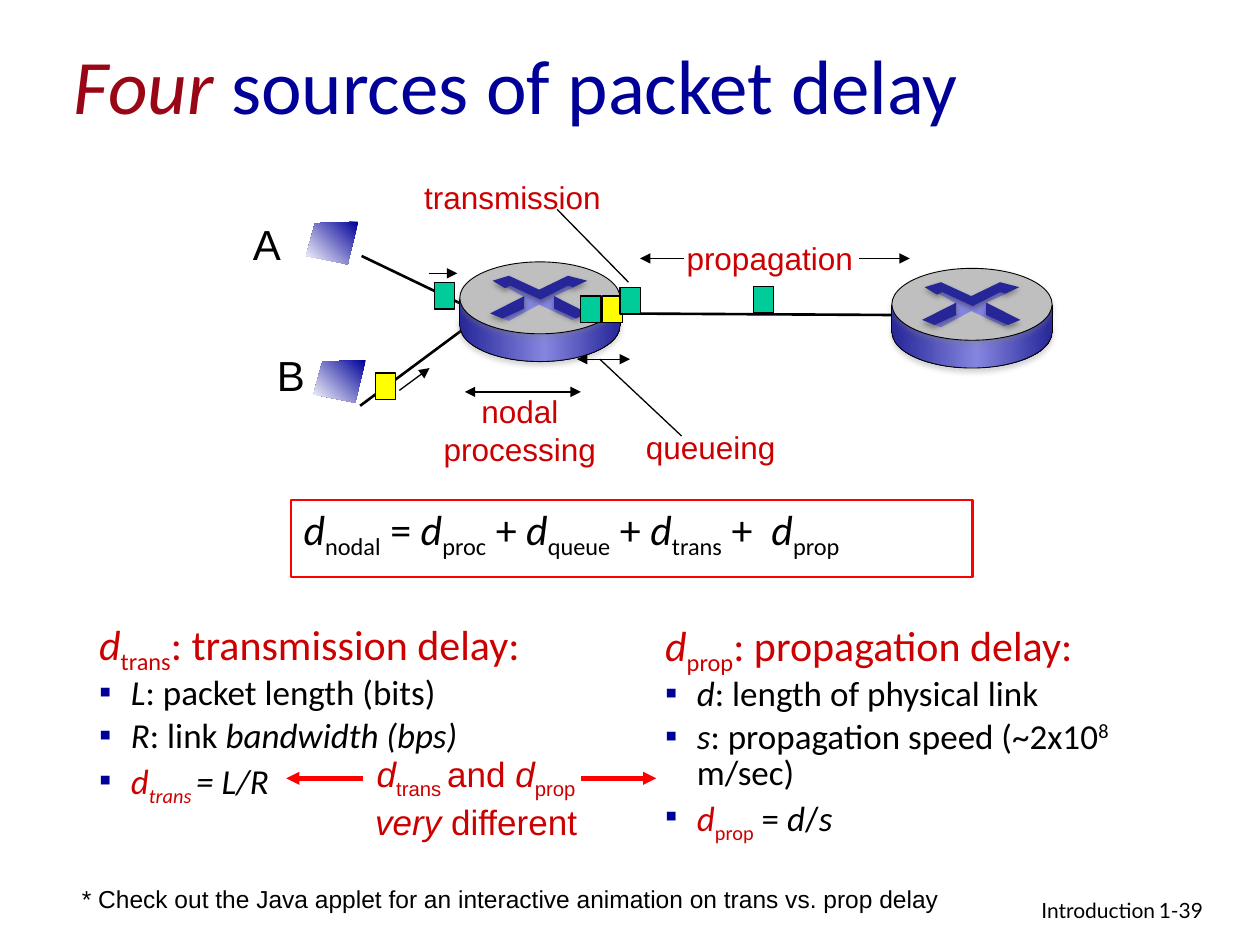
from copy import deepcopy

from lxml.etree import SubElement
from pptx import Presentation
from pptx.dml.color import RGBColor
from pptx.enum.shapes import MSO_CONNECTOR, MSO_SHAPE
from pptx.enum.text import MSO_ANCHOR, PP_ALIGN
from pptx.oxml.ns import qn
from pptx.util import Cm, Pt

RED, NAVY, BLACK = "CC0000", "000099", "000000"
GREEN, YELLOW = "00CC99", "FFFF00"
ROUTER_DARK, ROUTER_LIGHT = "262699", "8585E0"
LEFT, CENTER, RIGHT = PP_ALIGN.LEFT, PP_ALIGN.CENTER, PP_ALIGN.RIGHT

CROSS = [(1.6, .86), (.99, 1.19), (.81, 1.12), (1.32, .91), (1.3, .71), (.94, .51), (1.07, .48),
         (1.6, .74), (2.16, .46), (2.31, .51), (1.9, .69), (1.98, .97), (2.39, 1.12), (2.26, 1.17)]
CHEVRON = [(.66, .38), (.99, .28), (1.6, .56), (2.18, .28), (2.57, .38), (2.29, .51),
           (2.18, .48), (1.63, .76), (1.02, .48), (.91, .53)]
RIGHT_ARM = [(1.9, .69), (2.59, 1.04), (2.34, 1.14), (1.9, .94)]
LEFT_ARM = [(3.2 - px, py) for px, py in RIGHT_ARM]
SCREEN = [(1.05, 0), (.18, .03), (0, .69), (.84, .86)]


def rgb(color):
    """Turn a hex string into a colour."""
    return RGBColor.from_string(color)


def add_runs(p, runs, size, color=BLACK, font="Calibri"):
    """Add (text, flags) runs: i italic, _ subscript, ^ superscript, r red, d dark red."""
    for text, flags in runs:
        r = p.add_run()
        r.text = text
        r.font.name, r.font.size = font, Pt(size)
        r.font.italic = "i" in flags
        tint = RED if "r" in flags else "990716" if "d" in flags else color
        r.font.color.rgb = rgb(tint)
        if "_" in flags or "^" in flags:
            r._r.get_or_add_rPr().set("baseline", "-25000" if "_" in flags else "30000")


def add_text(s, x, y, w, h, lines, size, color=BLACK, font="Arial", align=LEFT, wrap=True,
             anchor=MSO_ANCHOR.TOP):
    """Place a text box with one paragraph for each list of runs."""
    tf = s.shapes.add_textbox(Cm(x), Cm(y), Cm(w), Cm(h)).text_frame
    tf.word_wrap, tf.vertical_anchor = wrap, anchor
    for i, runs in enumerate(lines):
        p = tf.add_paragraph() if i else tf.paragraphs[0]
        p.alignment = align
        add_runs(p, runs, size, color, font)


def add_shadow(sp, color):
    """Give a shape or connector a soft shadow below it."""
    effects = sp._element.spPr.find(qn("a:effectLst"))
    shadow = SubElement(effects, qn("a:outerShdw"), blurRad=str(Pt(3.1)), dist=str(Pt(1.8)),
                        dir="5400000", rotWithShape="0")
    tint = SubElement(shadow, qn("a:srgbClr"), val=color)
    SubElement(tint, qn("a:alpha"), val="35000")


def style(sp, fill=None, line=None, width=.75, angle=0, shadow=None):
    """Set fill (one colour or a list of gradient stops), outline and shadow."""
    sp.shadow.inherit = False
    if isinstance(fill, list):
        sp.fill.gradient()
        sp.fill.gradient_angle = angle
        stops = sp._element.spPr.find(qn("a:gradFill")).find(qn("a:gsLst"))
        for _ in fill[2:]:
            stops.append(deepcopy(stops[-1]))
        for stop, (position, color) in zip(sp.fill.gradient_stops, fill):
            stop.position, stop.color.rgb = position, rgb(color)
    elif fill:
        sp.fill.solid()
        sp.fill.fore_color.rgb = rgb(fill)
    else:
        sp.fill.background()
    if line:
        sp.line.color.rgb, sp.line.width = rgb(line), Pt(width)
    else:
        sp.line.fill.background()
    if shadow:
        add_shadow(sp, shadow)


def add_shape(shapes, kind, x, y, w, h, **look):
    """Place a styled preset shape."""
    sp = shapes.add_shape(kind, Cm(x), Cm(y), Cm(w), Cm(h))
    style(sp, **look)
    return sp


def add_outline(shapes, x, y, points, **look):
    """Place a closed outline whose points are relative to x, y."""
    points = [(Cm(x + px), Cm(y + py)) for px, py in points]
    builder = shapes.build_freeform(*points[0])
    builder.add_line_segments(points[1:], close=True)
    style(builder.convert_to_shape(), **look)


def add_line(shapes, x1, y1, x2, y2, width=.75, color=BLACK, ends=()):
    """Draw a straight line with arrowheads at the named ends."""
    c = shapes.add_connector(MSO_CONNECTOR.STRAIGHT, Cm(x1), Cm(y1), Cm(x2), Cm(y2))
    c.line.color.rgb, c.line.width = rgb(color), Pt(width)
    for end in ends:
        SubElement(c._element.spPr.find(qn("a:ln")), qn(f"a:{end}End"), type="triangle")
    SubElement(c._element.spPr, qn("a:effectLst"))
    return c


def add_router(s, x, y):
    """Draw a router as a group with its top left corner at x, y."""
    shapes = s.shapes.add_group_shape().shapes
    metal = [(0, ROUTER_DARK), (.53, ROUTER_LIGHT), (1, ROUTER_DARK)]
    rim = dict(line=BLACK, width=.5, shadow="808080")
    add_shape(shapes, MSO_SHAPE.OVAL, x, y + .56, 3.23, 1.45, fill=metal, **rim)
    add_shape(shapes, MSO_SHAPE.RECTANGLE, x, y + .76, 3.23, .53, fill=metal)
    add_shape(shapes, MSO_SHAPE.OVAL, x, y, 3.23, 1.45, fill="BFBFBF", **rim)
    add_outline(shapes, x, y, CROSS, fill=ROUTER_LIGHT)
    for points in (CHEVRON, RIGHT_ARM, LEFT_ARM):
        add_outline(shapes, x, y, points, fill=ROUTER_DARK, shadow=BLACK)
    for side in (x, x + 3.23):
        add_shadow(add_line(shapes, side, y + 1.3, side, y + .74, .5), "808080")


def add_network(s, x, y):
    """Draw hosts, routers, packets and delay labels."""
    for x1, y1, x2, y2 in [(3.29, 2.16, 5.35, 3.15), (3.26, 5.18, 5.32, 3.65),
                           (8.62, 3.32, 14.01, 3.35)]:
        add_line(s.shapes, x + x1, y + y1, x + x2, y + y2, 1.5)
    for dx, dy in [(5.27, 2.28), (13.98, 2.41)]:
        add_router(s, x + dx, y + dy)
    for dx, dy in [(2.17, 1.47), (2.32, 4.26)]:
        add_outline(s.shapes, x + dx, y + dy, SCREEN, fill=[(0, NAVY), (1, "FFFFFF")], angle=225)
    for dx, dy, color in [(11.19, 2.77, GREEN), (7.71, 2.97, GREEN), (8.14, 2.97, YELLOW),
                          (8.5, 2.79, GREEN), (4.76, 2.69, GREEN), (3.57, 4.52, YELLOW)]:
        add_shape(s.shapes, MSO_SHAPE.RECTANGLE, x + dx, y + dy, .41, .54, fill=color, line=BLACK)
    one, both = ("tail",), ("head", "tail")
    for x1, y1, x2, y2, ends in [
            (13.32, 2.21, 14.34, 2.21, one), (9.79, 2.21, 8.9, 2.21, one),
            (4.64, 2.51, 5.22, 2.51, one), (4.05, 4.87, 4.66, 4.42, one),
            (7.71, 4.9, 5.37, 4.9, both), (8.7, 4.24, 7.63, 4.24, both),
            (9.74, 5.79, 8.09, 4.24, ()), (7.23, 1.22, 8.67, 2.69, ())]:
        add_line(s.shapes, x + x1, y + y1, x + x2, y + y2, ends=ends)
    for dx, dy, w, h, words, size, color, align in [
            (4.3, .46, 4.3, 1.02, ["transmission"], 18, RED, LEFT),
            (9.59, 1.7, 4, 1.02, ["propagation"], 18, RED, LEFT),
            (8.77, 5.51, 3.3, 1.02, ["queueing"], 18, RED, LEFT),
            (4.58, 4.78, 3.8, 1.78, ["nodal", "processing"], 18, RED, CENTER),
            (.85, 1.29, 1.2, 1.28, ["A"], 24, BLACK, LEFT),
            (1.33, 3.93, 1.2, 1.28, ["B"], 24, BLACK, LEFT)]:
        add_text(s, x + dx, y + dy, w, h, [[(word, "")] for word in words], size, color,
                 align=align, wrap=False)


def add_formula(s, x, y, w, h):
    """Place the framed sum of the four delays."""
    sp = add_shape(s.shapes, MSO_SHAPE.RECTANGLE, x, y, w, h, line="FF0000", width=1.5)
    tf = sp.text_frame
    tf.word_wrap, tf.vertical_anchor = True, MSO_ANCHOR.TOP
    p = tf.paragraphs[0]
    p.alignment, p.line_spacing = LEFT, .85
    for name, sign in [("nodal", " = "), ("proc", " + "), ("queue", " + "), ("trans", " +  "),
                       ("prop", "")]:
        add_runs(p, [("d", "i"), (name, "_")] + ([(sign, "")] if sign else []), 24)


def add_definition(s, x, y, w, h, name, title, items):
    """Place a red heading with bulleted symbols below it."""
    tf = s.shapes.add_textbox(Cm(x), Cm(y), Cm(w), Cm(h)).text_frame
    tf.word_wrap = True
    p = tf.paragraphs[0]
    p.line_spacing = .85
    add_runs(p, [("d", "i"), (name, "_"), (title, "")], 24, RED)
    for runs in items:
        p = tf.add_paragraph()
        p.line_spacing, p.space_before = .85, Pt(4)
        pPr = p._p.get_or_add_pPr()
        pPr.set("marL", str(Cm(.64)))
        pPr.set("indent", str(-Cm(.64)))
        SubElement(SubElement(pPr, qn("a:buClr")), qn("a:srgbClr"), val=NAVY)
        SubElement(pPr, qn("a:buFont"), typeface="Arial")
        SubElement(pPr, qn("a:buChar"), char="▪")
        add_runs(p, runs, 20)


def add_callout(s, x, y):
    """Place the remark between two red arrows."""
    add_text(s, x + .91, y, 5.84, 1.96,
             [[("d", "i"), ("trans ", "_"), ("and ", ""), ("d", "i"), ("prop", "_")],
              [("very ", "i"), ("different", "")]], 20, RED, align=CENTER)
    for x1, x2 in [(0, 1.55), (7.46, 5.94)]:
        add_line(s.shapes, x + x1, y + .65, x + x2, y + .65, 2.5, "FF0000", ("head",))


def main():
    """Build the slide and save it."""
    prs = Presentation()
    prs.slide_width, prs.slide_height = Cm(25.4), Cm(19.05)
    s = prs.slides.add_slide(prs.slide_layouts[6])
    add_text(s, 1.24, .56, 21.59, 2.26, [[("Four", "id"), (" sources of packet delay", "")]],
             44, NAVY, "Calibri", anchor=MSO_ANCHOR.MIDDLE)
    add_network(s, 4, 3)
    add_formula(s, 5.87, 10.08, 13.74, 1.55)
    add_definition(s, 1.75, 12.4, 10.59, 5.77, "trans", ": transmission delay:", [
        [("L", "i"), (": packet length (bits)", "")],
        [("R", "i"), (": link ", ""), ("bandwidth (bps)", "i")],
        [("d", "ir"), ("trans ", "ir_"), ("= L/R", "i")]])
    add_definition(s, 13.16, 12.42, 11.53, 6.1, "prop", ": propagation delay:", [
        [("d", "i"), (": length of physical link", "")],
        [("s", "i"), (": propagation speed (~2x10", ""), ("8", "^"), (" m/sec)", "")],
        [("d", "ir"), ("prop", "r_"), (" = ", ""), ("d", "i"), ("/", ""), ("s", "i")]])
    add_callout(s, 5.77, 15.04)
    add_text(s, 1.4, 17.7, 17.86, .86, [[("* Check out the Java applet for an interactive "
             "animation on trans vs. prop delay", "")]], 14, wrap=False)
    add_text(s, 15.49, 17.96, 8.05, .79, [[("Introduction", "")]], 12, font="Lato", align=RIGHT)
    add_text(s, 23.11, 17.96, 1.88, .76, [[("1-39", "")]], 12, font="Lato")
    prs.save("out.pptx")


if __name__ == "__main__":
    main()
